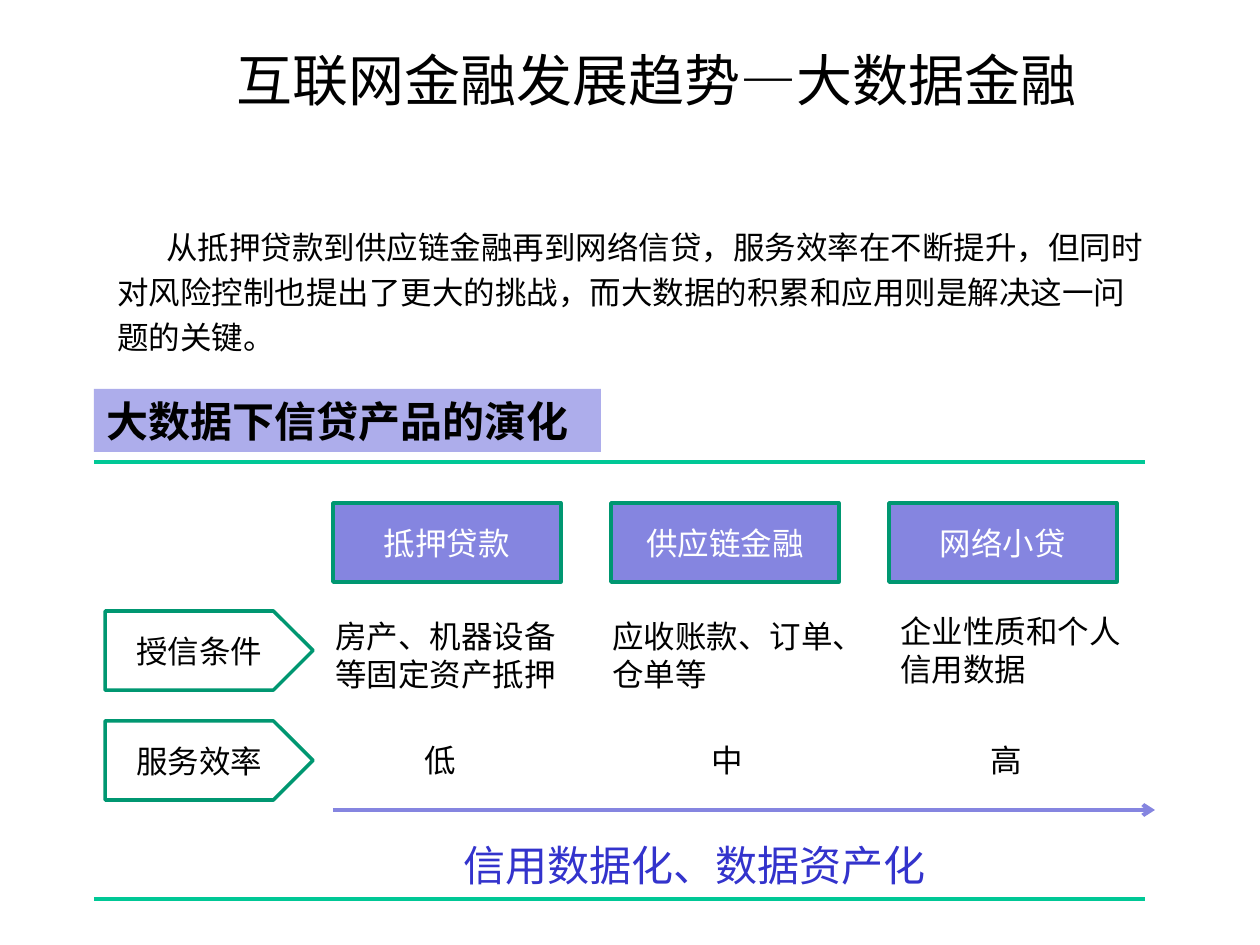
from dataclasses import dataclass

from lxml import etree
from pptx import Presentation
from pptx import util as u
from pptx.dml.color import RGBColor
from pptx.enum import shapes, text
from pptx.oxml.ns import qn

EMU_PER_PX = 914400 / 126


@dataclass(frozen=True)
class Theme:
    font: str = "Noto Sans CJK SC"
    black: str = "000000"
    white: str = "FFFFFF"
    violet: str = "8585E0"
    pale: str = "ADADEB"
    blue: str = "3333CC"
    rule: str = "00C896"
    outline: str = "009771"
    title: int = 32
    heading: int = 24
    body: int = 18


THEME = Theme()

STAGES = [
    ("抵押贷款", (323, 611), "房产、机器设备等固定资产抵押", 412, "低"),
    ("供应链金融", (600, 611), "应收账款、订单、仓单等", 699, "中"),
    ("网络小贷", (888, 606), "企业性质和个人信用数据", 978, "高"),
]
ROWS = ["授信条件", "服务效率"]


def px(value):
    return u.Emu(round(value * EMU_PER_PX))


def rgb(color):
    return RGBColor.from_string(color)


def write(shape, words, size=THEME.body, color=THEME.black, bold=False,
          align=text.PP_ALIGN.LEFT, anchor=text.MSO_ANCHOR.TOP,
          spacing=None, indent=0):
    frame = shape.text_frame
    frame.word_wrap = True
    frame.auto_size = text.MSO_AUTO_SIZE.NONE
    frame.vertical_anchor = anchor
    para = frame.paragraphs[0]
    para.alignment = align
    if spacing:
        para.line_spacing = spacing
    if indent:
        para._p.get_or_add_pPr().set("indent", str(px(indent)))
    span = para.add_run()
    span.text = words
    font = span.font
    font.size, font.bold, font.name = u.Pt(size), bold, THEME.font
    font.color.rgb = rgb(color)
    east_asian = etree.SubElement(span._r.get_or_add_rPr(), qn("a:ea"))
    east_asian.set("typeface", THEME.font)


def add_title(page, words, left, top, width, height):
    title = page.shapes.title
    title.left, title.top = px(left), px(top)
    title.width, title.height = px(width), px(height)
    write(title, words, size=THEME.title, anchor=text.MSO_ANCHOR.MIDDLE)


def add_text(page, words, left, top, width, height, **style):
    box = page.shapes.add_textbox(px(left), px(top), px(width), px(height))
    write(box, words, **style)


def add_block(page, kind, words, left, top, width, height, fill, line=None, **style):
    block = page.shapes.add_shape(kind, px(left), px(top), px(width), px(height))
    block.shadow.inherit = False
    block.fill.solid()
    block.fill.fore_color.rgb = rgb(fill)
    if line:
        block.line.color.rgb = rgb(line)
        block.line.width = u.Pt(2)
    else:
        block.line.fill.background()
    write(block, words, anchor=text.MSO_ANCHOR.MIDDLE, **style)


def add_line(page, left, right, y, color, arrow=False):
    line = page.shapes.add_connector(
        shapes.MSO_CONNECTOR.STRAIGHT, px(left), px(y), px(right), px(y))
    line.line.color.rgb = rgb(color)
    line.line.width = u.Pt(2.25)
    if arrow:
        etree.SubElement(line.line._get_or_add_ln(), qn("a:tailEnd")).set("type", "arrow")
    etree.SubElement(line._element.spPr, qn("a:effectLst"))


def add_stages(page):
    for column, (name, place, condition, level_left, level) in enumerate(STAGES):
        add_block(page, shapes.MSO_SHAPE.RECTANGLE, name, 333 + 278 * column, 503,
                  228, 79, THEME.violet, THEME.outline,
                  color=THEME.white, align=text.PP_ALIGN.CENTER)
        add_text(page, condition, *place, 258, 89)
        add_text(page, level, level_left, 735, 69, 50)


def add_row_labels(page):
    for row, name in enumerate(ROWS):
        add_block(page, shapes.MSO_SHAPE.PENTAGON, name, 105, 611 + 110 * row,
                  208, 79, THEME.white, THEME.outline, align=text.PP_ALIGN.CENTER)


def main():
    deck = Presentation()
    deck.slide_width, deck.slide_height = u.Inches(10), u.Inches(7.5)
    page = deck.slides.add_slide(deck.slide_layouts[5])
    add_title(page, "互联网金融发展趋势—大数据金融", 224, 16, 932, 127)
    add_text(page, "从抵押贷款到供应链金融再到网络信贷，服务效率在不断提升，但同时"
             "对风险控制也提出了更大的挑战，而大数据的积累和应用则是解决这一问题的关键。",
             105, 214, 1052, 146, spacing=1.2, indent=49)
    for y in (462, 899):
        add_line(page, 94, 1145, y, THEME.rule)
    add_stages(page)
    add_row_labels(page)
    add_line(page, 333, 1155, 810, THEME.violet, arrow=True)
    add_text(page, "信用数据化、数据资产化", 451, 833, 539, 63,
             size=THEME.heading, color=THEME.blue)
    add_block(page, shapes.MSO_SHAPE.RECTANGLE, "大数据下信贷产品的演化",
              94, 389, 507, 63, THEME.pale, size=THEME.heading, bold=True)
    deck.save("out.pptx")


if __name__ == "__main__":
    main()
